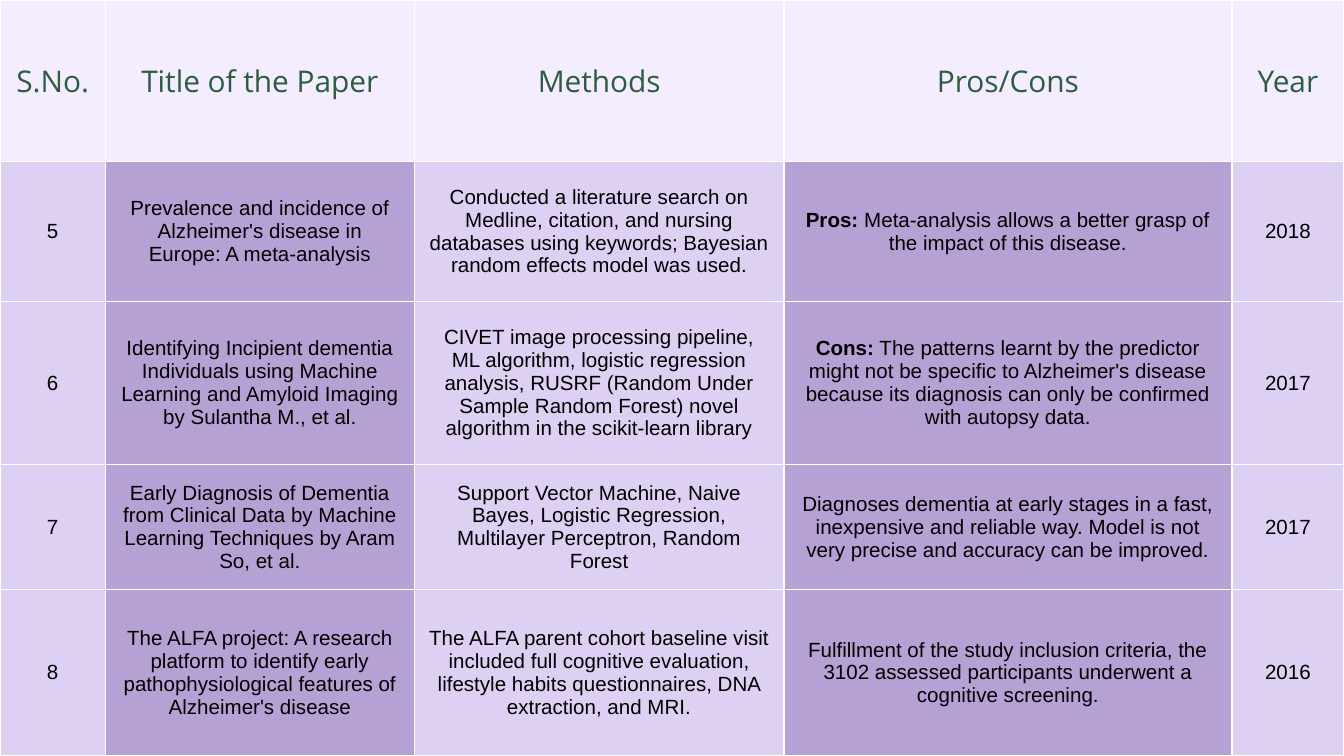
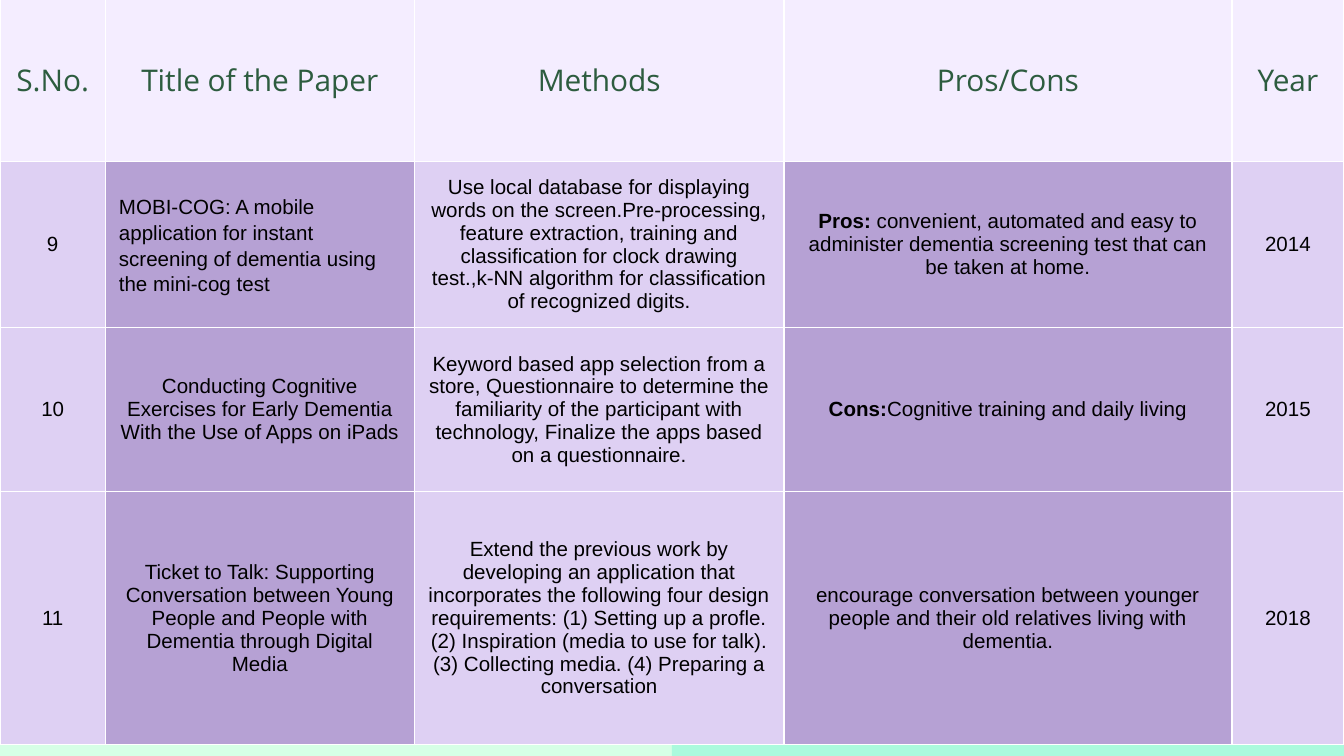
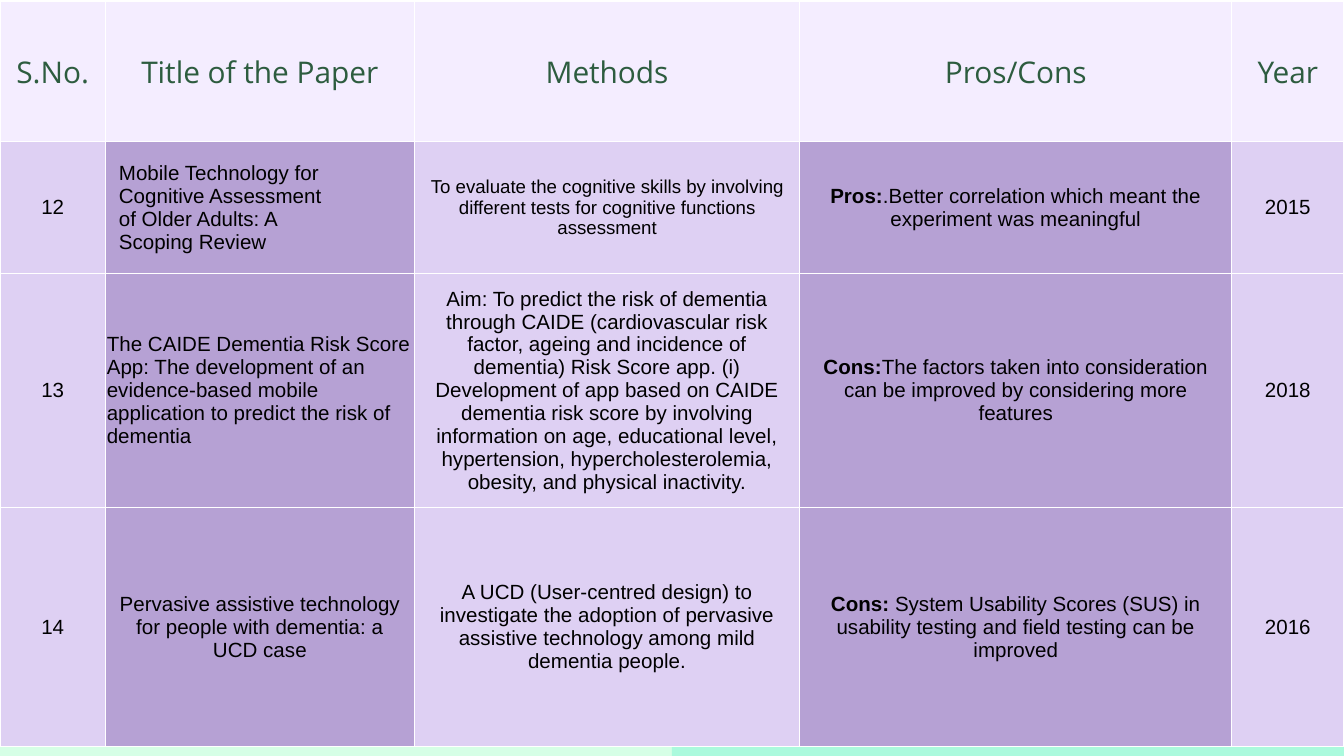
from pptx import Presentation
from pptx.dml.color import RGBColor
from pptx.enum.shapes import MSO_SHAPE
from pptx.enum.text import MSO_ANCHOR, PP_ALIGN
from pptx.oxml import parse_xml
from pptx.oxml.ns import nsdecls
from pptx.util import Pt

COLORS = {
    "background": "D6FFE6",
    "white": "FFFFFF",
    "mint": "ABFADD",
    "header": "F4EDFF",
    "heading": "2D5C3F",
    "light": "DED0F3",
    "dark": "B6A1D4",
    "text": "000000",
}
WIDTH, HEIGHT = 720, 405
BAND_HEIGHT = 111.5
CELL_MARGIN = 7.2
HEADINGS = ("S.No.", "Title of the Paper", "Methods", "Pros/Cons", "Year")
COLUMN_FILLS = ("light", "dark", "light", "dark", "light")
LABELS = ("Pros:", "Cons:")
WIDE_PROS = (56.5, 165.5, 198, 240, 60)
WIDE_METHODS = (56.5, 165.5, 206.5, 231.5, 60)

PAPERS_5_TO_8 = [
    ("5", "Prevalence and incidence of Alzheimer's disease in Europe: A meta-analysis",
     "Conducted a literature search on Medline, citation, and nursing databases using keywords; "
     "Bayesian random effects model was used.",
     "Pros: Meta-analysis allows a better grasp of the impact of this disease.", "2018"),
    ("6", "Identifying Incipient dementia Individuals using Machine Learning and Amyloid "
     "Imaging by Sulantha M., et al.",
     "CIVET image processing pipeline, ML algorithm, logistic regression analysis, RUSRF "
     "(Random Under Sample Random Forest) novel algorithm in the scikit-learn library",
     "Cons: The patterns learnt by the predictor might not be specific to Alzheimer's disease "
     "because its diagnosis can only be confirmed with autopsy data.", "2017"),
    ("7", "Early Diagnosis of Dementia from Clinical Data by Machine Learning Techniques by "
     "Aram So, et al.",
     "Support Vector Machine, Naive Bayes, Logistic Regression, Multilayer Perceptron, "
     "Random Forest",
     "Diagnoses dementia at early stages in a fast, inexpensive and reliable way. Model is not "
     "very precise and accuracy can be improved.", "2017"),
    ("8", "The ALFA project: A research platform to identify early pathophysiological features "
     "of Alzheimer's disease",
     "The ALFA parent cohort baseline visit included full cognitive evaluation, lifestyle "
     "habits questionnaires, DNA extraction, and MRI.",
     "Fulfillment of the study inclusion criteria, the 3102 assessed participants underwent a "
     "cognitive screening.", "2016"),
]
PAPERS_9_TO_11 = [
    ("9", "MOBI-COG: A mobile application for instant screening of dementia using the "
     "mini-cog test",
     "Use local database for displaying words on the screen.Pre-processing, feature "
     "extraction, training and classification for clock drawing test.,k-NN algorithm for "
     "classification of recognized digits.",
     "Pros: convenient, automated and easy to administer dementia screening test that can be "
     "taken at home.", "2014"),
    ("10", "Conducting Cognitive Exercises for Early Dementia With the Use of Apps on iPads",
     "Keyword based app selection from a store, Questionnaire to determine the familiarity of "
     "the participant with technology, Finalize the apps based on a questionnaire.",
     "Cons:Cognitive training and daily living", "2015"),
    ("11", "Ticket to Talk: Supporting Conversation between Young People and People with "
     "Dementia through Digital Media",
     "Extend the previous work by developing an application that incorporates the following "
     "four design requirements: (1) Setting up a profle. (2) Inspiration (media to use for "
     "talk). (3) Collecting media. (4) Preparing a conversation",
     "encourage conversation between younger people and their old relatives living with "
     "dementia.", "2018"),
]
PAPERS_12_TO_14 = [
    ("12", "Mobile Technology for\nCognitive Assessment\nof Older Adults: A\nScoping Review",
     "To evaluate the cognitive skills by involving different tests for cognitive functions "
     "assessment",
     "Pros:.Better correlation which meant the experiment was meaningful", "2015"),
    ("13", "The CAIDE Dementia Risk Score App: The development of an evidence-based mobile "
     "application to predict the risk of dementia",
     "Aim: To predict the risk of dementia through CAIDE (cardiovascular risk factor, ageing "
     "and incidence of dementia) Risk Score app. (i) Development of app based on CAIDE dementia "
     "risk score by involving information on age, educational level, hypertension, "
     "hypercholesterolemia, obesity, and physical inactivity.",
     "Cons:The factors taken into consideration can be improved by considering more features",
     "2018"),
    ("14", "Pervasive assistive technology for people with dementia: a UCD case",
     "A UCD (User-centred design) to investigate the adoption of pervasive assistive technology "
     "among mild dementia people.",
     "Cons: System Usability Scores (SUS) in usability testing and field testing can be "
     "improved", "2016"),
]


def rgb(name):
    return RGBColor.from_string(COLORS[name])


def write_text(text_frame, text, size=11, font="Arial", color="text",
               align=PP_ALIGN.CENTER, line_spacing=None):
    for index, line in enumerate(text.split("\n")):
        paragraph = text_frame.add_paragraph() if index else text_frame.paragraphs[0]
        paragraph.alignment = align
        paragraph.line_spacing = line_spacing
        label = line[:5] if line.startswith(LABELS) else ""
        for part, bold in ((label, True), (line[len(label):], False)):
            if part:
                run = paragraph.add_run()
                run.text = part
                run.font.size = Pt(size)
                run.font.name = font
                run.font.bold = bold
                run.font.color.rgb = rgb(color)


def add_borders(cell):
    properties = cell._tc.get_or_add_tcPr()
    for side in ("lnL", "lnR", "lnT", "lnB"):
        properties.append(parse_xml(
            f'<a:{side} {nsdecls("a")} w="{Pt(0.75)}"><a:solidFill>'
            f'<a:srgbClr val="{COLORS["white"]}"/></a:solidFill></a:{side}>'))


def format_cell(cell, text, fill, margin=CELL_MARGIN, **text_format):
    add_borders(cell)
    cell.fill.solid()
    cell.fill.fore_color.rgb = rgb(fill)
    cell.vertical_anchor = MSO_ANCHOR.MIDDLE
    cell.margin_left = cell.margin_right = cell.margin_top = cell.margin_bottom = Pt(margin)
    write_text(cell.text_frame, text, **text_format)


def add_panel(slide, left, top, width, height, fill):
    shape = slide.shapes.add_shape(
        MSO_SHAPE.RECTANGLE, Pt(left), Pt(top), Pt(width), Pt(height))
    shape.shadow.inherit = False
    shape.fill.solid()
    shape.fill.fore_color.rgb = rgb(fill)
    shape.line.fill.background()


def add_backdrop(slide):
    add_panel(slide, 0, 0, WIDTH, BAND_HEIGHT, "white")
    add_panel(slide, WIDTH / 2, BAND_HEIGHT, WIDTH / 2, HEIGHT - BAND_HEIGHT, "mint")


def add_paper_table(slide, top, papers, column_widths, row_heights, exceptions):
    table = slide.shapes.add_table(
        len(row_heights), len(column_widths), Pt(0), Pt(top),
        Pt(sum(column_widths)), Pt(sum(row_heights))).table
    table.first_row = False
    table.horz_banding = False
    for column, width in zip(table.columns, column_widths):
        column.width = Pt(width)
    for row, height in zip(table.rows, row_heights):
        row.height = Pt(height)
    for column, heading in enumerate(HEADINGS):
        format_cell(table.cell(0, column), heading, "header",
                    size=16, font="Open Sans", color="heading")
    for row, paper in enumerate(papers, start=1):
        for column, (text, fill) in enumerate(zip(paper, COLUMN_FILLS)):
            format_cell(table.cell(row, column), text, fill,
                        **exceptions.get((row, column), {}))


def add_survey_slide(presentation, **table_options):
    slide = presentation.slides.add_slide(presentation.slide_layouts[6])
    slide.background.fill.solid()
    slide.background.fill.fore_color.rgb = rgb("background")
    add_backdrop(slide)
    add_paper_table(slide, **table_options)


def main():
    presentation = Presentation()
    presentation.slide_width = Pt(WIDTH)
    presentation.slide_height = Pt(HEIGHT)
    add_survey_slide(presentation, top=0, papers=PAPERS_5_TO_8, column_widths=WIDE_PROS,
                     row_heights=(86.5, 75, 87.5, 67, 89), exceptions={})
    add_survey_slide(presentation, top=-0.5, papers=PAPERS_9_TO_11, column_widths=WIDE_PROS,
                     row_heights=(87, 89, 88, 135.5),
                     exceptions={(1, 1): {"align": PP_ALIGN.LEFT, "line_spacing": 1.13}})
    add_survey_slide(presentation, top=1, papers=PAPERS_12_TO_14, column_widths=WIDE_METHODS,
                     row_heights=(75, 70.5, 125.5, 128),
                     exceptions={(1, 1): {"align": PP_ALIGN.JUSTIFY},
                                 (1, 2): {"size": 10},
                                 (2, 1): {"align": PP_ALIGN.LEFT, "margin": 0.75}})
    presentation.save("out.pptx")


if __name__ == "__main__":
    main()
